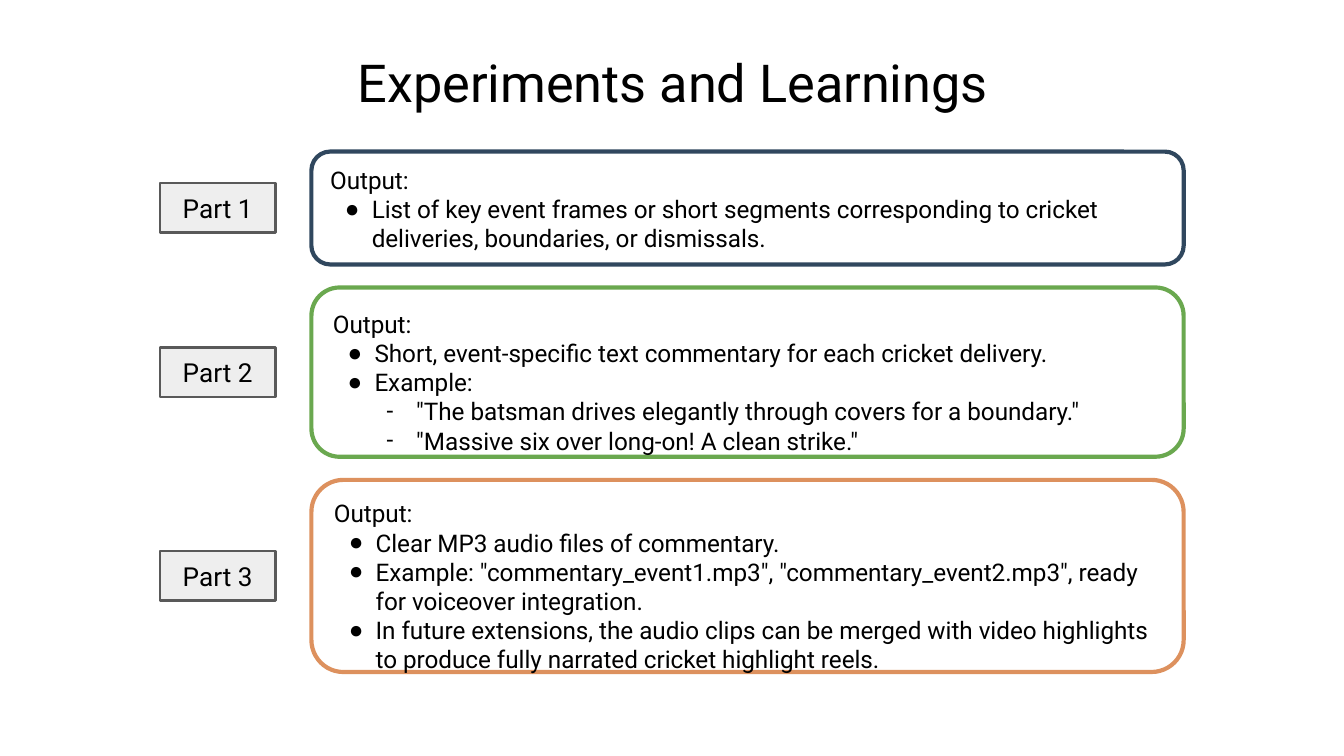
from dataclasses import dataclass

from lxml.etree import SubElement
from pptx import Presentation
from pptx.dml.color import RGBColor
from pptx.enum.shapes import MSO_SHAPE as Preset
from pptx.enum.text import MSO_ANCHOR as Anchor, MSO_AUTO_SIZE as AutoSize, PP_ALIGN as Align
from pptx.oxml.ns import qn
from pptx.util import Emu, Inches, Pt

WIDTH = Inches(10)
HEIGHT = Emu(WIDTH * 9 // 16)
FONT = "Roboto"
BLACK = "000000"

# Horizontal and vertical places, in percent of the slide's width and height
TAG_LEFT, TAG_WIDTH, TAG_HEIGHT = 11.9, 8.6, 6.58
PANEL_LEFT, PANEL_WIDTH = 23.17, 64.9
FIRST_PANEL_TOP, PANEL_GAP = 20.05, 3.05

# Bullet sign, its font, left margin and hanging indent in inches, by list level
BULLETS = {1: ("●", "Arial", 0.31, -0.2), 2: ("-", FONT, 0.62, -0.22)}


@dataclass(frozen=True)
class Item:
    text: str
    level: int = 1


@dataclass(frozen=True)
class Part:
    name: str
    color: str
    height: float  # percent of the slide's height
    top_inset: float  # inches
    items: tuple[Item, ...]


PARTS = (
    Part("Part 1", "30475E", 14.93, 0.06, (
        Item("List of key event frames or short segments corresponding to cricket "
             "deliveries, boundaries, or dismissals."),
    )),
    Part("Part 2", "6AA84F", 22.4, 0.1, (
        Item("Short, event-specific text commentary for each cricket delivery."),
        Item("Example:"),
        Item('"The batsman drives elegantly through covers for a boundary."', 2),
        Item('"Massive six over long-on! A clean strike."', 2),
    )),
    Part("Part 3", "DD915E", 25.42, 0.07, (
        Item("Clear MP3 audio files of commentary."),
        Item('Example: "commentary_event1.mp3", "commentary_event2.mp3", '
             "ready for voiceover integration."),
        Item("In future extensions, the audio clips can be merged with video highlights "
             "to produce fully narrated cricket highlight reels."),
    )),
)


def rgb(color: str) -> RGBColor:
    return RGBColor.from_string(color)


def place(shape, left: float, top: float, width: float, height: float) -> None:
    """Position a shape by percent of the slide's size."""
    shape.left, shape.width = (Emu(round(WIDTH * share / 100)) for share in (left, width))
    shape.top, shape.height = (Emu(round(HEIGHT * share / 100)) for share in (top, height))


def format_text(text_frame, size: float, align: Align, anchor: Anchor) -> None:
    text_frame.word_wrap = True
    text_frame.auto_size = AutoSize.NONE
    text_frame.vertical_anchor = anchor
    text_frame.margin_left = text_frame.margin_right = Inches(0.1)
    text_frame.margin_top = text_frame.margin_bottom = Inches(0.1)
    for paragraph in text_frame.paragraphs:
        paragraph.alignment = align
        for run in paragraph.runs:
            run.font.name = FONT
            run.font.size = Pt(size)
            run.font.color.rgb = rgb(BLACK)


def add_box(slide, preset: Preset, fill: str, opacity: int, line: str, line_width: float):
    shape = slide.shapes.add_shape(preset, 0, 0, 0, 0)
    shape.shadow.inherit = False
    shape.fill.solid()
    shape.fill.fore_color.rgb = rgb(fill)
    color = shape._element.spPr.find(qn("a:solidFill")).find(qn("a:srgbClr"))
    SubElement(color, qn("a:alpha"), val=str(opacity * 1000))
    shape.line.color.rgb = rgb(line)
    shape.line.width = Pt(line_width)
    return shape


def add_bullet(paragraph, level: int) -> None:
    sign, typeface, margin, indent = BULLETS[level]
    properties = paragraph._p.get_or_add_pPr()
    properties.set("marL", str(Inches(margin)))
    properties.set("indent", str(Inches(indent)))
    color = SubElement(properties, qn("a:buClr"))
    SubElement(color, qn("a:srgbClr"), val=BLACK)
    SubElement(properties, qn("a:buFont"), typeface=typeface)
    SubElement(properties, qn("a:buChar"), char=sign)


def add_tag(slide, part: Part, panel_top: float) -> None:
    tag = add_box(slide, Preset.RECTANGLE, "EEEEEE", 95, "595959", 1.5)
    top = panel_top + (part.height - TAG_HEIGHT) / 2
    place(tag, TAG_LEFT, top, TAG_WIDTH, TAG_HEIGHT)
    tag.text_frame.text = part.name
    format_text(tag.text_frame, 14, Align.CENTER, Anchor.MIDDLE)


def add_panel(slide, part: Part, top: float) -> None:
    panel = add_box(slide, Preset.ROUNDED_RECTANGLE, "FFFFFF", 90, part.color, 2.25)
    place(panel, PANEL_LEFT, top, PANEL_WIDTH, part.height)
    text_frame = panel.text_frame
    text_frame.text = "Output:"
    for item in part.items:
        paragraph = text_frame.add_paragraph()
        paragraph.text = item.text
        add_bullet(paragraph, item.level)
    format_text(text_frame, 13, Align.LEFT, Anchor.TOP)
    text_frame.margin_top, text_frame.margin_bottom = Inches(part.top_inset), 0


def main() -> None:
    presentation = Presentation()
    presentation.slide_width, presentation.slide_height = WIDTH, HEIGHT
    slide = presentation.slides.add_slide(presentation.slide_layouts.get_by_name("Title Only"))

    title = slide.shapes.title
    place(title, 7.8, 6.05, 84.5, 9.43)
    title.text_frame.text = "Experiments and Learnings"
    format_text(title.text_frame, 28, Align.CENTER, Anchor.MIDDLE)

    top = FIRST_PANEL_TOP
    for part in PARTS:
        add_tag(slide, part, top)
        add_panel(slide, part, top)
        top += part.height + PANEL_GAP

    presentation.save("out.pptx")


if __name__ == "__main__":
    main()
